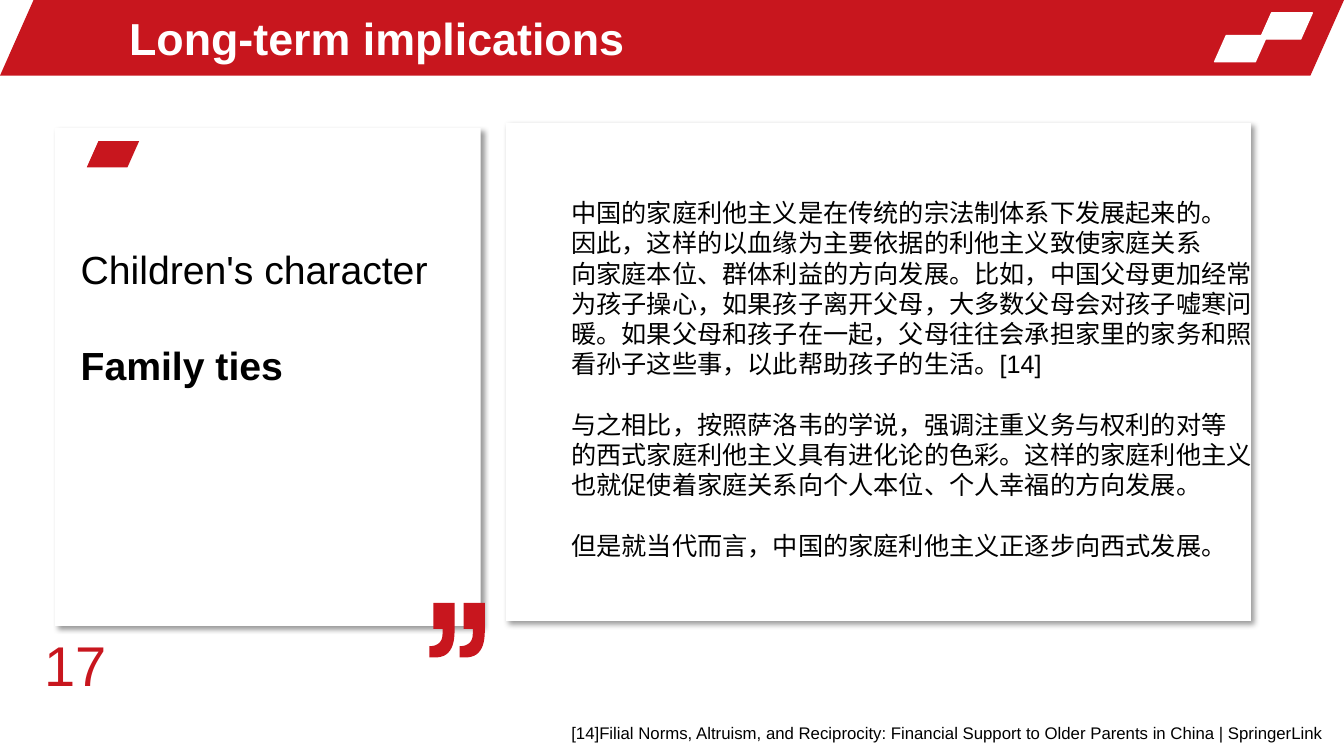
"""Builds the slide on long-term implications for family ties."""
from dataclasses import dataclass
from typing import Optional

import lxml.etree
import pptx
import pptx.dml.color
import pptx.enum.shapes
import pptx.enum.text
import pptx.oxml
import pptx.oxml.ns
import pptx.util

Pt = pptx.util.Pt
RGBColor = pptx.dml.color.RGBColor
ShapeType = pptx.enum.shapes.MSO_SHAPE
Anchor = pptx.enum.text.MSO_ANCHOR
AutoSize = pptx.enum.text.MSO_AUTO_SIZE
qn = pptx.oxml.ns.qn

RED = RGBColor(0xC8, 0x16, 0x1E)
WHITE = RGBColor(0xFF, 0xFF, 0xFF)
BLACK = RGBColor(0x00, 0x00, 0x00)
FONT = "Arial"
SLANT = 0.444


@dataclass(frozen=True)
class Box:
    left: float
    top: float
    width: float
    height: float

    def lengths(self) -> tuple:
        return Pt(self.left), Pt(self.top), Pt(self.width), Pt(self.height)


@dataclass(frozen=True)
class Slab:
    box: Box
    fill: RGBColor
    line: Optional[RGBColor] = None


@dataclass(frozen=True)
class Line:
    text: str
    size: float
    color: RGBColor = BLACK
    bold: bool = False
    space_before: float = 0


HEADER = [
    Slab(Box(0, 0, 960, 54), RED),
    Slab(Box(900, 9.2, 37.4, 18.7), WHITE, WHITE),
    Slab(Box(867.6, 25.4, 37.4, 18.7), WHITE, WHITE),
]
TOPIC_CARD = Box(39.4, 91.4, 304, 355.7)
TOPIC_MARK = Slab(Box(62, 100.8, 37.4, 18.7), RED)
ESSAY_CARD = Box(361.6, 87.8, 532, 355.7)

TITLE = [Line("Long-term implications", 32, WHITE, True)]
TOPICS = [
    Line("Children's character", 28),
    Line("Family ties", 28, bold=True, space_before=35),
]
ESSAY = [
    [
        "中国的家庭利他主义是在传统的宗法制体系下发展起来的。",
        "因此，这样的以血缘为主要依据的利他主义致使家庭关系",
        "向家庭本位、群体利益的方向发展。比如，中国父母更加经常",
        "为孩子操心，如果孩子离开父母，大多数父母会对孩子嘘寒问",
        "暖。如果父母和孩子在一起，父母往往会承担家里的家务和照",
        "看孙子这些事，以此帮助孩子的生活。[14]",
    ],
    [
        "与之相比，按照萨洛韦的学说，强调注重义务与权利的对等",
        "的西式家庭利他主义具有进化论的色彩。这样的家庭利他主义",
        "也就促使着家庭关系向个人本位、个人幸福的方向发展。",
    ],
    ["但是就当代而言，中国的家庭利他主义正逐步向西式发展。"],
]
CITATION = (
    "[14]Filial Norms, Altruism, and Reciprocity: Financial Support to "
    "Older Parents in China | SpringerLink"
)


def paint(shape, fill: RGBColor, line: Optional[RGBColor] = None) -> None:
    shape.shadow.inherit = False
    shape.fill.solid()
    shape.fill.fore_color.rgb = fill
    if line is None:
        shape.line.fill.background()
    else:
        shape.line.color.rgb = line
        shape.line.width = Pt(1)


def add_slab(slide, slab: Slab) -> None:
    shape = slide.shapes.add_shape(ShapeType.PARALLELOGRAM, *slab.box.lengths())
    shape.adjustments[0] = SLANT
    paint(shape, slab.fill, slab.line)


def add_card(slide, box: Box) -> None:
    card = slide.shapes.add_shape(ShapeType.ROUNDED_RECTANGLE, *box.lengths())
    card.adjustments[0] = 0
    paint(card, WHITE)
    effects = card._element.spPr.find(qn("a:effectLst"))
    shadow = lxml.etree.SubElement(
        effects, qn("a:outerShdw"), blurRad=str(Pt(4)), dist=str(Pt(3)),
        dir="2700000", algn="tl", rotWithShape="0",
    )
    color = lxml.etree.SubElement(shadow, qn("a:srgbClr"), val=str(BLACK))
    lxml.etree.SubElement(color, qn("a:alpha"), val="40000")


def curve(start: tuple, first: tuple, second: tuple, end: tuple) -> list:
    steps = 12
    points = []
    for step in range(1, steps + 1):
        t = step / steps
        weights = ((1 - t) ** 3, 3 * t * (1 - t) ** 2, 3 * t * t * (1 - t), t ** 3)
        corners = (start, first, second, end)
        points.append(tuple(
            sum(weight * corner[axis] for weight, corner in zip(weights, corners))
            for axis in (0, 1)
        ))
    return points


def add_quote_mark(slide, left: float, top: float, pitch: float) -> None:
    outline = [
        (18, 0), (18, 20),
        *curve((18, 20), (18, 32.5), (13.7, 39), (4.3, 39)),
        (0, 39), (0, 31),
        *curve((0, 31), (5.8, 31), (9.4, 28), (9.4, 22.3)),
        (9.4, 18.7), (2.9, 18.7), (2.9, 0),
    ]
    first, second = [
        [(Pt(left + offset + x), Pt(top + y)) for x, y in outline]
        for offset in (0, pitch)
    ]
    builder = slide.shapes.build_freeform(*first[0])
    builder.add_line_segments(first[1:], close=True)
    builder.move_to(*second[0])
    builder.add_line_segments(second[1:], close=True)
    paint(builder.convert_to_shape(), RED)


def write(text_frame, lines: list, bullets_off: bool = False) -> None:
    for index, line in enumerate(lines):
        paragraph = text_frame.paragraphs[0] if index == 0 else text_frame.add_paragraph()
        paragraph.text = line.text
        if bullets_off:
            properties = paragraph._element.get_or_add_pPr()
            properties.set("marL", "0")
            properties.set("indent", "0")
            lxml.etree.SubElement(properties, qn("a:buNone"))
        paragraph.alignment = pptx.enum.text.PP_ALIGN.LEFT
        paragraph.space_before = Pt(line.space_before)
        paragraph.font.name = FONT
        paragraph.font.size = Pt(line.size)
        paragraph.font.bold = line.bold
        paragraph.font.color.rgb = line.color


def fill_placeholder(slide, placeholder, box: Box, lines: list, anchor: Anchor) -> None:
    slide.shapes._spTree.append(placeholder._element)
    placeholder.left, placeholder.top, placeholder.width, placeholder.height = box.lengths()
    text_frame = placeholder.text_frame
    text_frame.auto_size = AutoSize.NONE
    text_frame.vertical_anchor = anchor
    write(text_frame, lines, bullets_off=True)


def add_text(slide, box: Box, lines: list, wrap: bool = True) -> None:
    text_frame = slide.shapes.add_textbox(*box.lengths()).text_frame
    text_frame.word_wrap = wrap
    text_frame.auto_size = AutoSize.SHAPE_TO_FIT_TEXT
    write(text_frame, lines)


def main() -> None:
    presentation = pptx.Presentation()
    presentation.slide_width, presentation.slide_height = Pt(960), Pt(540)
    slide = presentation.slides.add_slide(presentation.slide_layouts[1])
    title, body = slide.placeholders

    for slab in HEADER:
        add_slab(slide, slab)
    fill_placeholder(slide, title, Box(85, 3.6, 557.3, 46.8), TITLE, Anchor.MIDDLE)

    add_card(slide, TOPIC_CARD)
    add_slab(slide, TOPIC_MARK)
    add_quote_mark(slide, 306.7, 430.6, 21.6)
    fill_placeholder(slide, body, Box(50.4, 171.4, 326.9, 108.7), TOPICS, Anchor.TOP)

    add_card(slide, ESSAY_CARD)
    essay = [
        Line(text, 18, space_before=21.6 if block and not row else 0)
        for block, texts in enumerate(ESSAY)
        for row, text in enumerate(texts)
    ]
    add_text(slide, Box(401, 137.5, 500.4, 290.9), essay, wrap=False)
    add_text(slide, Box(24.5, 447.1, 60.5, 55.4), [Line("17", 40, RED)])
    add_text(slide, Box(401, 512.6, 558, 21.6), [Line(CITATION, 12)])
    presentation.save("out.pptx")


if __name__ == "__main__":
    main()
